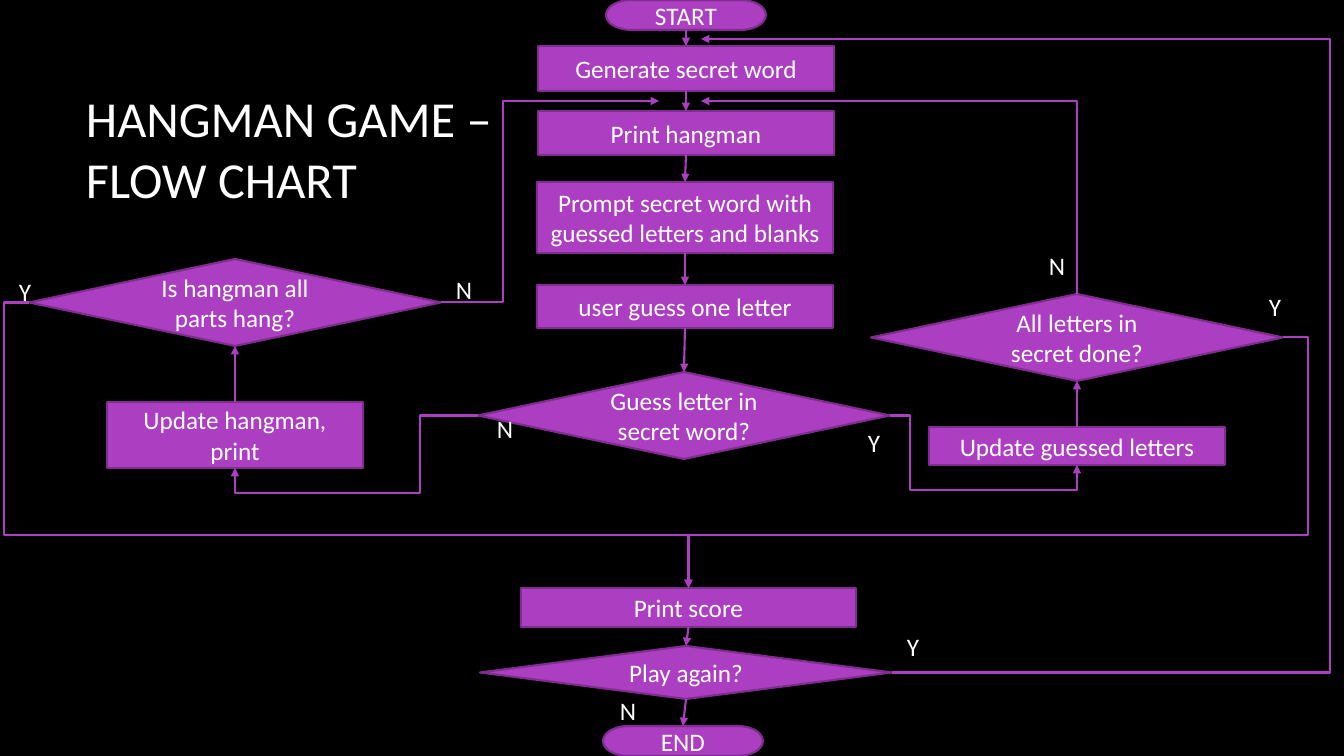
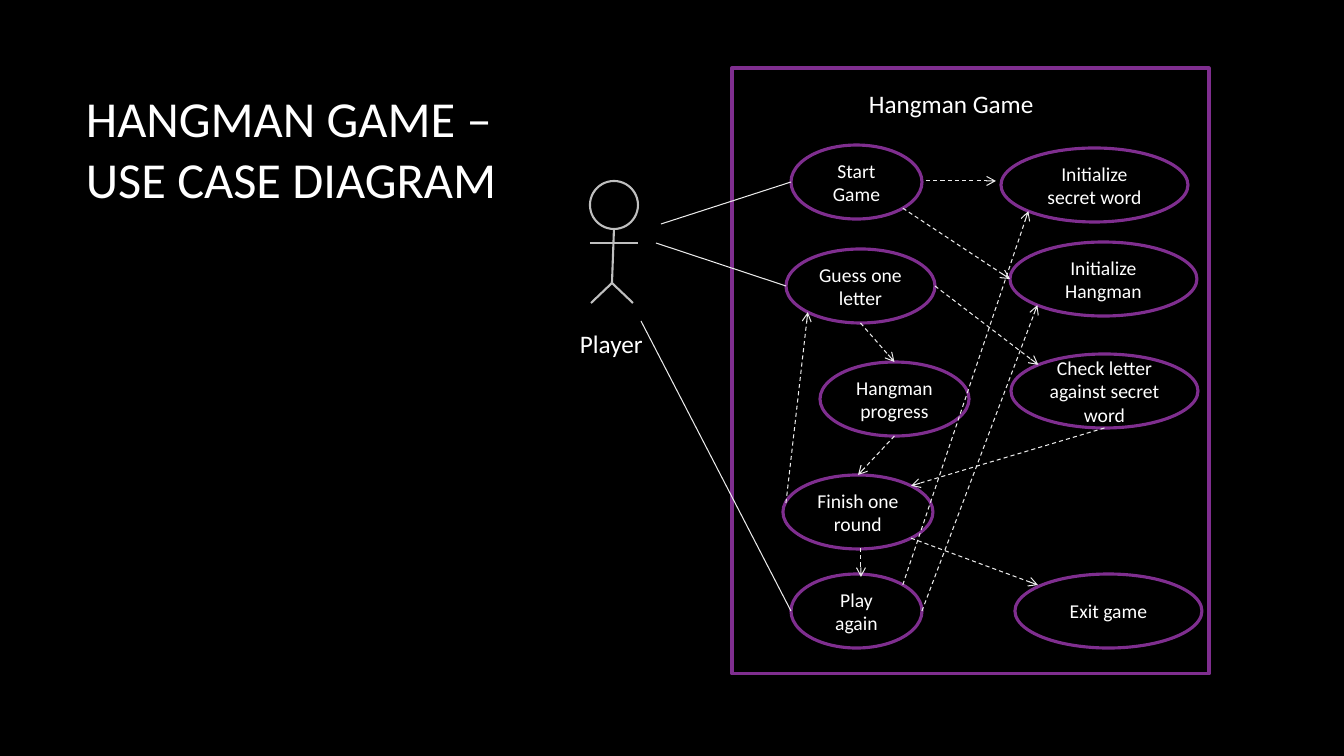
"""Build two slides on a hangman game: a flow chart and a use case diagram."""
import math

import pptx
import pptx.dml.color
import pptx.enum.dml
import pptx.enum.shapes
import pptx.enum.text
import pptx.oxml.ns
import pptx.util
from lxml import etree

SHAPE = pptx.enum.shapes.MSO_SHAPE
CONNECTOR = pptx.enum.shapes.MSO_CONNECTOR
ALIGN = pptx.enum.text.PP_ALIGN
ANCHOR = pptx.enum.text.MSO_ANCHOR
qn = pptx.oxml.ns.qn

THEME = {
    "font": "Calibri", "background": "000000", "text": "FFFFFF",
    "fill": "AC3EC1", "outline": "7F2E8F", "link": "EBEBEB", "figure": "BFBFBF",
    "title": 36, "body": 18, "small": 14,
    "thin": 0.75, "medium": 1.5, "thick": 2.25,
}
PAGE_SIZE = (1344, 756)
EMU_PER_PX = 914400 / 100.8

ANGLES = {"right": 0, "lower right": 45, "bottom": 90, "lower left": 135,
          "left": 180, "upper left": 225, "top": 270, "upper right": 315}
GLUE_SITES = {"top": 0, "left": 1, "bottom": 2, "right": 3}

FLOW_TITLE = ("HANGMAN GAME – FLOW CHART", (76, 68, 509, 160))
FLOW_STEPS = {
    "start": ("START", SHAPE.FLOWCHART_TERMINATOR, (606, 0, 160, 30)),
    "generate": ("Generate secret word", SHAPE.FLOWCHART_PROCESS, (538, 46, 296, 45)),
    "print": ("Print hangman", SHAPE.FLOWCHART_PROCESS, (538, 111, 296, 44)),
    "prompt": ("Prompt secret word with guessed letters and blanks",
               SHAPE.FLOWCHART_PROCESS, (537, 182, 296, 71)),
    "input": ("user guess one letter", SHAPE.FLOWCHART_PROCESS, (537, 285, 296, 43)),
    "guess": ("Guess letter in secret word?", SHAPE.FLOWCHART_DECISION, (478, 372, 412, 87)),
    "letters": ("Update guessed letters", SHAPE.FLOWCHART_PROCESS, (929, 427, 296, 38)),
    "done": ("All letters in secret done?", SHAPE.FLOWCHART_DECISION, (871, 294, 412, 87)),
    "hangman": ("Update hangman, print", SHAPE.FLOWCHART_PROCESS, (107, 402, 256, 66)),
    "hanged": ("Is hangman all parts hang?", SHAPE.FLOWCHART_DECISION, (29, 259, 412, 87)),
    "score": ("Print score", SHAPE.FLOWCHART_PROCESS, (521, 588, 335, 39)),
    "again": ("Play again?", SHAPE.FLOWCHART_DECISION, (480, 646, 412, 53)),
    "end": ("END", SHAPE.FLOWCHART_TERMINATOR, (603, 726, 160, 30)),
}
DOWN_CHAINS = [("start", "generate", "print", "prompt", "input", "guess"),
               ("score", "again", "end")]
UP_ARROWS = [("letters", "done"), ("hangman", "hanged")]
BENT_ARROWS = [
    (("guess", "left"), ("hangman", "bottom"), 420, 493),
    (("guess", "right"), ("letters", "bottom"), 910, 490),
    (("done", "right"), ("score", "top"), 1308, 535),
    (("hanged", "left"), ("score", "top"), 4, 535),
    (("hanged", "right"), (659, 101), 503, None),
    (("again", "right"), (701, 39), 1330, None),
]
RETURN_ARROW = ((701, 101), ("done", "top"))
ANSWERS = [("N", 487, 408), ("Y", 858, 422), ("N", 1039, 245), ("Y", 1259, 286),
           ("Y", 897, 626), ("N", 610, 690), ("Y", 9, 271), ("N", 446, 269)]
ANSWER_SIZE = (36, 40)

CASE_TITLE = ("HANGMAN GAME – USE CASE DIAGRAM", (76, 68, 461, 160))
SYSTEM_FRAME = (732, 68, 477, 606)
CASE_LABELS = [("Player", (570, 323, 84, 40)), ("Hangman Game", (859, 83, 187, 40))]
PLAYER_HEAD = (590, 181, 48, 48)
PLAYER_LIMBS = [((614, 229), (612, 283)), ((590, 243), (638, 243)),
                ((612, 283), (591, 303)), ((612, 283), (633, 303))]
CASE_HEIGHT = 74
CASES = {
    "start": ("Start Game", 791, 145, 131),
    "guess": ("Guess one letter", 786, 249, 149),
    "check": ("Check letter against secret word", 1011, 354, 187),
    "progress": ("Hangman progress", 820, 362, 149),
    "finish": ("Finish one round", 783, 475, 150),
    "again": ("Play again", 791, 574, 131),
    "word": ("Initialize secret word", 1001, 148, 187),
    "hangman": ("Initialize Hangman", 1010, 242, 187),
    "exit": ("Exit game", 1015, 574, 187),
}
PLAYER_LINKS = [((661, 224), ("start", "left")), ((656, 243), ("guess", "left")),
                ((641, 321), ("again", "left"))]
CASE_LINKS = [
    ((926, 181), (996, 181)),
    (("start", "lower right"), ("hangman", "left")),
    (("guess", "right"), ("check", "upper left")),
    (("guess", "bottom"), ("progress", "top")),
    (("progress", "bottom"), ("finish", "top")),
    (("check", "bottom"), ("finish", "upper right")),
    ((861, 548), (861, 577)),
    (("again", "upper right"), ("word", "lower left")),
    (("again", "right"), ("hangman", "lower left")),
    (("finish", "lower right"), (1038, 585)),
    ((786, 503), ("guess", "lower left")),
]


def px(value):
    return pptx.util.Emu(round(value * EMU_PER_PX))


def rgb(name):
    return pptx.dml.color.RGBColor.from_string(THEME[name])


def write(box, text, size, align=ALIGN.LEFT, wrap=True, anchor=ANCHOR.MIDDLE):
    frame = box.text_frame
    frame.word_wrap = wrap
    frame.vertical_anchor = anchor
    para = frame.paragraphs[0]
    para.text = text
    para.alignment = align
    para.font.name = THEME["font"]
    para.font.size = pptx.util.Pt(THEME[size])
    para.font.color.rgb = rgb("text")


def add_title(page, title):
    text, area = title
    write(page.shapes.add_textbox(*map(px, area)), text, "title")


def add_label(page, text, area):
    box = page.shapes.add_textbox(*map(px, area))
    write(box, text, "body", wrap=False, anchor=ANCHOR.TOP)


def add_box(shapes, kind, area, fill=None, outline="outline", weight="thick"):
    box = shapes.add_shape(kind, *map(px, area))
    box.shadow.inherit = False
    if fill:
        box.fill.solid()
        box.fill.fore_color.rgb = rgb(fill)
    else:
        box.fill.background()
    box.line.color.rgb = rgb(outline)
    box.line.width = pptx.util.Pt(THEME[weight])
    return box


def locate(place, areas):
    """Return the point of a place, given as a point or as a name and a side."""
    if not isinstance(place[0], str):
        return place
    left, top, width, height = areas[place[0]]
    angle = math.radians(ANGLES[place[1]])
    return (left + width / 2 * (1 + math.cos(angle)),
            top + height / 2 * (1 + math.sin(angle)))


def add_line(shapes, start, end, color, weight, arrow=None, arrow_end="tailEnd",
             dashed=False, kind=CONNECTOR.STRAIGHT):
    line = shapes.add_connector(kind, *map(px, (*start, *end)))
    line.line.color.rgb = rgb(color)
    line.line.width = pptx.util.Pt(THEME[weight])
    if dashed:
        line.line.dash_style = pptx.enum.dml.MSO_LINE.DASH
    properties = line.element.spPr
    if arrow:
        etree.SubElement(properties.find(qn("a:ln")), qn("a:" + arrow_end), type=arrow)
    etree.SubElement(properties, qn("a:effectLst"))
    return line


def set_bends(line, preset, ratios):
    geometry = line.element.spPr.find(qn("a:prstGeom"))
    geometry.set("prst", preset)
    guides = geometry.find(qn("a:avLst"))
    if guides is None:
        guides = etree.SubElement(geometry, qn("a:avLst"))
    for number, ratio in enumerate(ratios, 1):
        etree.SubElement(guides, qn("a:gd"), name=f"adj{number}",
                         fmla=f"val {round(ratio * 100000)}")


def build_flow_chart(page):
    add_title(page, FLOW_TITLE)
    areas = {name: step[2] for name, step in FLOW_STEPS.items()}
    boxes = {}
    for name, (text, kind, area) in FLOW_STEPS.items():
        boxes[name] = add_box(page.shapes, kind, area, "fill", weight="medium")
        write(boxes[name], text, "body", ALIGN.CENTER)

    def connect(start, end, **options):
        line = add_line(page.shapes, locate(start, areas), locate(end, areas),
                        "fill", "medium", "triangle", **options)
        for place, glue in ((start, line.begin_connect), (end, line.end_connect)):
            if place[0] in boxes:
                glue(boxes[place[0]], GLUE_SITES[place[1]])
        return line

    for chain in DOWN_CHAINS:
        for upper, lower in zip(chain, chain[1:]):
            connect((upper, "bottom"), (lower, "top"))
    for lower, upper in UP_ARROWS:
        connect((lower, "top"), (upper, "bottom"))
    for start, end, turn_x, turn_y in BENT_ARROWS:
        line = connect(start, end, kind=CONNECTOR.ELBOW)
        (x1, y1), (x2, y2) = locate(start, areas), locate(end, areas)
        ratios = [(turn_x - x1) / (x2 - x1)]
        if turn_y is not None:
            ratios.append((turn_y - y1) / (y2 - y1))
        set_bends(line, f"bentConnector{len(ratios) + 2}", ratios)
    line = connect(*RETURN_ARROW, kind=CONNECTOR.ELBOW, arrow_end="headEnd")
    set_bends(line, "bentConnector2", [])
    for text, left, top in ANSWERS:
        add_label(page, text, (left, top, *ANSWER_SIZE))


def build_use_cases(page):
    add_title(page, CASE_TITLE)
    player = page.shapes.add_group_shape().shapes
    add_box(player, SHAPE.OVAL, PLAYER_HEAD, outline="figure", weight="medium")
    for start, end in PLAYER_LIMBS:
        add_line(player, start, end, "figure", "medium")
    add_box(page.shapes, SHAPE.FLOWCHART_PROCESS, SYSTEM_FRAME)
    for text, area in CASE_LABELS:
        add_label(page, text, area)
    areas = {}
    for name, (text, left, top, width) in CASES.items():
        areas[name] = (left, top, width, CASE_HEIGHT)
        write(add_box(page.shapes, SHAPE.OVAL, areas[name]), text, "small", ALIGN.CENTER)
    for links, arrow in ((PLAYER_LINKS, None), (CASE_LINKS, "arrow")):
        for start, end in links:
            add_line(page.shapes, locate(start, areas), locate(end, areas),
                     "link", "thin", arrow, dashed=arrow is not None)


def main():
    deck = pptx.Presentation()
    deck.slide_width, deck.slide_height = map(px, PAGE_SIZE)
    backdrop = deck.slide_master.background.fill
    backdrop.solid()
    backdrop.fore_color.rgb = rgb("background")
    for build in (build_flow_chart, build_use_cases):
        build(deck.slides.add_slide(deck.slide_layouts[6]))
    deck.save("out.pptx")


if __name__ == "__main__":
    main()
